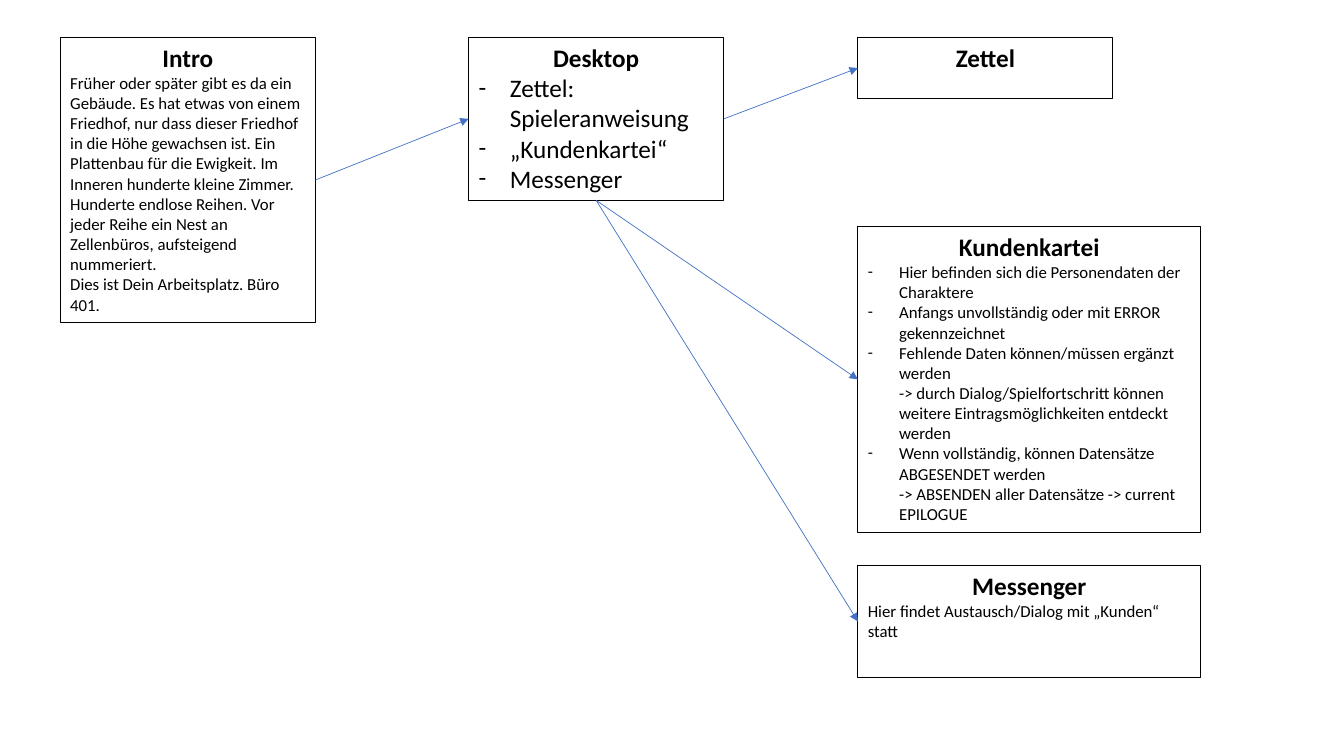
from lxml.etree import SubElement
from pptx import Presentation
from pptx.dml.color import RGBColor
from pptx.enum.shapes import MSO_CONNECTOR as CONNECTOR
from pptx.enum.text import MSO_ANCHOR as ANCHOR, MSO_AUTO_SIZE as AUTO_SIZE, PP_ALIGN as ALIGN
from pptx.oxml.ns import qn
from pptx.util import Cm, Pt

BLACK = RGBColor(0x00, 0x00, 0x00)
BLUE = RGBColor(0x44, 0x72, 0xC4)
FONT = "Calibri"
TITLE_SIZE, SMALL_SIZE = 18, 12
INDENT = Cm(0.79)

COL_INTRO, COL_DESKTOP, COL_TARGETS = 1.52, 11.81, 21.62
TOP = 0.94
NARROW, WIDE = 6.43, 8.64
TOP_SITE, LEFT_SITE, BOTTOM_SITE, RIGHT_SITE = range(4)

# title, (left, top, width, height), body size, bulleted, body paragraphs
BOXES = [
    ("Intro", (COL_INTRO, TOP, NARROW, 7.19), SMALL_SIZE, False, [
        "Früher oder später gibt es da ein Gebäude. Es hat etwas von einem "
        "Friedhof, nur dass dieser Friedhof in die Höhe gewachsen ist. Ein "
        "Plattenbau für die Ewigkeit. Im Inneren hunderte kleine Zimmer. "
        "Hunderte endlose Reihen. Vor jeder Reihe ein Nest an Zellenbüros, "
        "aufsteigend nummeriert. \nDies ist Dein Arbeitsplatz. Büro 401.",
    ]),
    ("Desktop", (COL_DESKTOP, TOP, NARROW, 4.11), TITLE_SIZE, True, [
        "Zettel: Spieleranweisung",
        "„Kundenkartei“",
        "Messenger",
    ]),
    ("Zettel", (COL_TARGETS, TOP, NARROW, 1.55), SMALL_SIZE, False, []),
    ("Kundenkartei", (COL_TARGETS, 5.71, WIDE, 7.7), SMALL_SIZE, True, [
        "Hier befinden sich die Personendaten der Charaktere",
        "Anfangs unvollständig oder mit ERROR gekennzeichnet",
        "Fehlende Daten können/müssen ergänzt werden\n"
        "-> durch Dialog/Spielfortschritt können weitere "
        "Eintragsmöglichkeiten entdeckt werden",
        "Wenn vollständig, können Datensätze ABGESENDET werden\n"
        "-> ABSENDEN aller Datensätze -> current EPILOGUE",
    ]),
    ("Messenger", (COL_TARGETS, 14.25, WIDE, 2.82), SMALL_SIZE, False, [
        "Hier findet Austausch/Dialog mit „Kunden“ statt",
    ]),
]

# from box, its side, to box (always entered from the left)
ARROWS = [
    ("Intro", RIGHT_SITE, "Desktop"),
    ("Desktop", RIGHT_SITE, "Zettel"),
    ("Desktop", BOTTOM_SITE, "Kundenkartei"),
    ("Desktop", BOTTOM_SITE, "Messenger"),
]


def write(p, text, size, bold=False):
    """Fill a paragraph and format its runs and line breaks."""
    p.text = text
    for r in p.runs:
        r.font.name, r.font.size, r.font.bold = FONT, Pt(size), bold
        r.font.color.rgb = BLACK
    for br in p._p.findall(qn("a:br")):
        SubElement(br, qn("a:rPr")).set("sz", str(size * 100))


def add_dash(p):
    """Give a paragraph a hanging dash bullet."""
    pPr = p._p.get_or_add_pPr()
    pPr.set("marL", str(INDENT))
    pPr.set("indent", str(-INDENT))
    SubElement(pPr, qn("a:buFont")).set("typeface", FONT)
    SubElement(pPr, qn("a:buChar")).set("char", "-")


def add_box(slide, title, place, size, bulleted, body):
    """Add an outlined text box with a bold title and body paragraphs."""
    sp = slide.shapes.add_textbox(*map(Cm, place))
    sp.line.color.rgb, sp.line.width = BLACK, Pt(0.75)
    tf = sp.text_frame
    tf.word_wrap, tf.auto_size = True, AUTO_SIZE.NONE
    tf.vertical_anchor = ANCHOR.TOP
    write(tf.paragraphs[0], title, TITLE_SIZE, bold=True)
    tf.paragraphs[0].alignment = ALIGN.CENTER
    for text in body:
        p = tf.add_paragraph()
        write(p, text, size)
        if bulleted:
            add_dash(p)
    return sp


def add_arrow(slide, start, side, end):
    """Connect two boxes with a thin arrow."""
    c = slide.shapes.add_connector(CONNECTOR.STRAIGHT, 0, 0, 0, 0)
    c.begin_connect(start, side)
    c.end_connect(end, LEFT_SITE)
    c.line.color.rgb, c.line.width = BLUE, Pt(0.5)
    SubElement(c.line._get_or_add_ln(), qn("a:tailEnd")).set("type", "triangle")
    SubElement(c._element.spPr, qn("a:effectLst"))


prs = Presentation()
prs.slide_width, prs.slide_height = Cm(33.87), Cm(19.05)
slide = prs.slides.add_slide(prs.slide_layouts[6])

boxes = {box[0]: add_box(slide, *box) for box in BOXES}
for start, side, end in ARROWS:
    add_arrow(slide, boxes[start], side, boxes[end])

prs.save("out.pptx")
